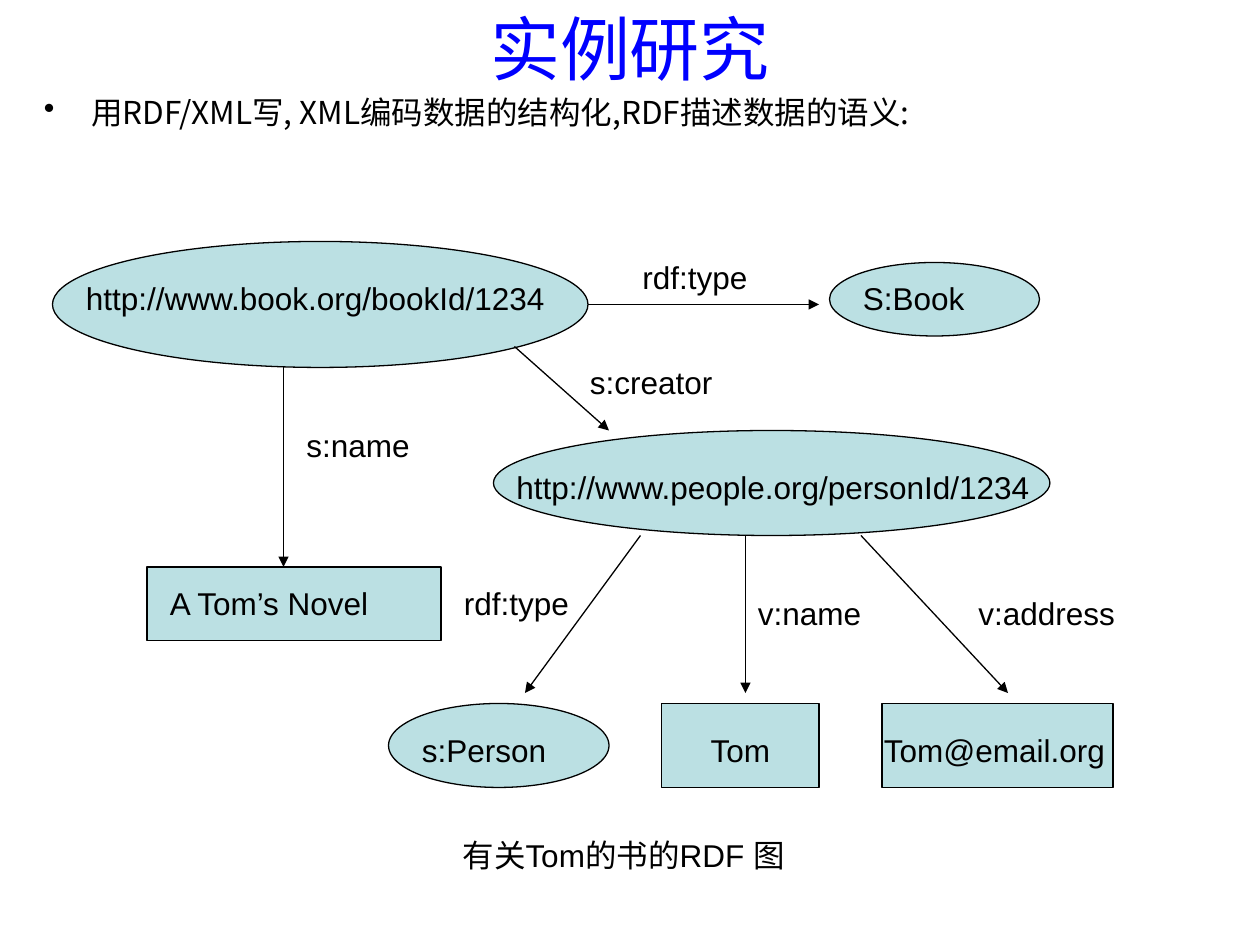
from dataclasses import dataclass

from lxml import etree
from pptx import Presentation
from pptx.dml.color import RGBColor
from pptx.enum.shapes import MSO_CONNECTOR, MSO_SHAPE
from pptx.enum.text import MSO_ANCHOR, PP_ALIGN
from pptx.oxml.ns import qn
from pptx.util import Pt

EMU_PER_PX = 9525  # 96 px to the inch
BLACK = RGBColor(0x00, 0x00, 0x00)
BLUE = RGBColor(0x00, 0x00, 0xFF)
PALE_TEAL = RGBColor(0xBB, 0xE0, 0xE3)
LATIN_FONT = "Arial"
CJK_FONT = "Noto Sans CJK SC"
RESOURCE = MSO_SHAPE.OVAL
LITERAL = MSO_SHAPE.RECTANGLE
STRAIGHT = MSO_CONNECTOR.STRAIGHT
MIDDLE = MSO_ANCHOR.MIDDLE
TOP = MSO_ANCHOR.TOP
CENTER = PP_ALIGN.CENTER
LEFT = PP_ALIGN.LEFT
LABEL_HEIGHT = 38
BULLET_INDENT = 36


@dataclass
class Node:
    kind: MSO_SHAPE
    left: int
    top: int
    width: int
    height: int


@dataclass
class Arrow:
    x1: int
    y1: int
    x2: int
    y2: int


@dataclass
class Label:
    text: str
    left: int
    top: int
    width: int
    height: int = LABEL_HEIGHT
    size: int = 18
    color: RGBColor = BLACK
    font: str = LATIN_FONT
    align: PP_ALIGN = LEFT
    anchor: MSO_ANCHOR = TOP
    indent: int = 0
    bullet: bool = False
    line_spacing: float = 1.0


TITLE = Label("实例研究", 48, 0, 864, 72, size=40, color=BLUE, align=CENTER, anchor=MIDDLE)
INTRO = Label("用RDF/XML写, XML编码数据的结构化,RDF描述数据的语义:", 24, 72, 912, 64,
              font=CJK_FONT, indent=BULLET_INDENT, bullet=True, line_spacing=0.8)

NODES = [
    Node(RESOURCE, 40, 184, 408, 96),
    Node(RESOURCE, 632, 200, 160, 56),
    Node(RESOURCE, 376, 328, 424, 80),
    Node(RESOURCE, 296, 536, 168, 64),
    Node(LITERAL, 504, 536, 120, 64),
    Node(LITERAL, 672, 536, 176, 64),
    Node(LITERAL, 112, 432, 224, 56),
]

ARROWS = [
    Arrow(216, 280, 216, 432),
    Arrow(392, 264, 464, 328),
    Arrow(448, 232, 624, 232),
    Arrow(488, 408, 400, 528),
    Arrow(568, 408, 568, 528),
    Arrow(656, 408, 768, 528),
]

LABELS = [
    Label("http://www.book.org/bookId/1234", 56, 208, 392),
    Label("rdf:type", 480, 192, 112),
    Label("S:Book", 648, 208, 128),
    Label("s:creator", 440, 272, 144),
    Label("http://www.people.org/personId/1234", 384, 352, 424),
    Label("s:name", 224, 320, 144),
    Label("A Tom’s Novel", 120, 440, 208),
    Label("rdf:type", 344, 440, 112),
    Label("v:name", 568, 448, 120),
    Label("v:address", 736, 448, 152),
    Label("s:Person", 312, 552, 144),
    Label("Tom", 512, 552, 112, indent=20),
    Label("Tom@email.org", 664, 552, 192),
    Label("有关Tom的书的RDF 图", 160, 632, 680, indent=183),
]


def px(length: int) -> int:
    return length * EMU_PER_PX


def add_node(slide, node: Node) -> None:
    shape = slide.shapes.add_shape(
        node.kind, px(node.left), px(node.top), px(node.width), px(node.height))
    shape.shadow.inherit = False
    shape.fill.solid()
    shape.fill.fore_color.rgb = PALE_TEAL
    shape.line.color.rgb = BLACK
    shape.line.width = Pt(0.75)


def add_arrow(slide, arrow: Arrow) -> None:
    connector = slide.shapes.add_connector(
        STRAIGHT, px(arrow.x1), px(arrow.y1), px(arrow.x2), px(arrow.y2))
    connector.line.color.rgb = BLACK
    connector.line.width = Pt(0.75)
    etree.SubElement(connector.line._get_or_add_ln(), qn("a:tailEnd"), type="triangle")
    etree.SubElement(connector._element.spPr, qn("a:effectLst"))


def add_label(slide, label: Label) -> None:
    box = slide.shapes.add_textbox(
        px(label.left), px(label.top), px(label.width), px(label.height))
    frame = box.text_frame
    frame.word_wrap = True
    frame.vertical_anchor = label.anchor
    paragraph = frame.paragraphs[0]
    paragraph.alignment = label.align
    paragraph.line_spacing = label.line_spacing
    properties = paragraph._p.get_or_add_pPr()
    if label.indent:
        properties.set("marL", str(px(label.indent)))
    if label.bullet:
        properties.set("indent", str(-px(label.indent)))
        etree.SubElement(properties, qn("a:buChar"), char="•")
    run = paragraph.add_run()
    run.text = label.text
    run.font.size = Pt(label.size)
    run.font.color.rgb = label.color
    run.font.name = label.font
    etree.SubElement(run._r.get_or_add_rPr(), qn("a:ea"), typeface=CJK_FONT)


def main() -> None:
    presentation = Presentation()
    presentation.slide_width = px(960)
    presentation.slide_height = px(720)
    slide = presentation.slides.add_slide(presentation.slide_layouts[6])

    # Heading and introduction
    add_label(slide, TITLE)
    add_label(slide, INTRO)

    # RDF graph: nodes, then arrows, then their names and the caption
    for node in NODES:
        add_node(slide, node)
    for arrow in ARROWS:
        add_arrow(slide, arrow)
    for label in LABELS:
        add_label(slide, label)

    presentation.save("out.pptx")


if __name__ == "__main__":
    main()
